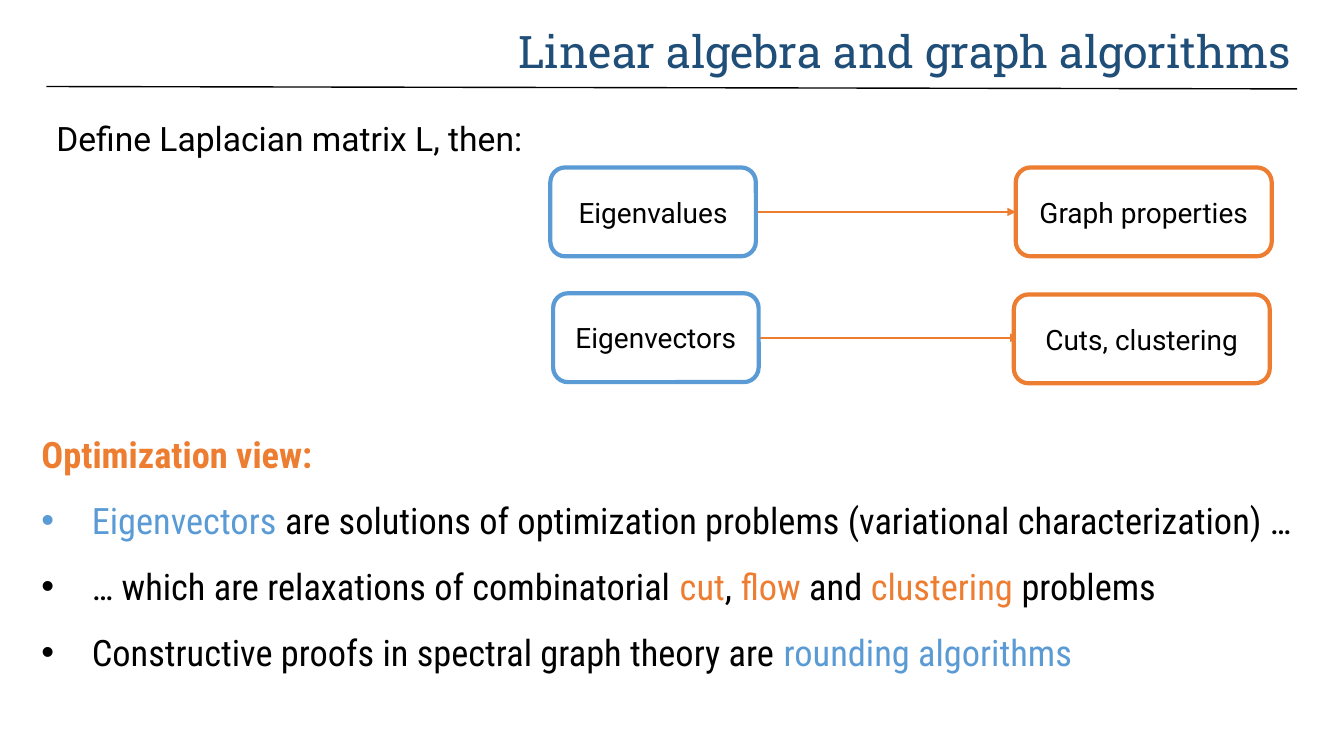
from lxml.etree import SubElement
from pptx import Presentation
from pptx.dml.color import RGBColor
from pptx.enum.shapes import MSO_CONNECTOR, MSO_SHAPE
from pptx.enum.text import MSO_ANCHOR, MSO_AUTO_SIZE, PP_ALIGN
from pptx.oxml.ns import qn
from pptx.util import Cm, Pt

COLORS = {"navy": "1F4E79", "blue": "5B9BD5", "orange": "ED7D31",
          "black": "000000", "white": "FFFFFF"}


def rgb(name):
    return RGBColor.from_string(COLORS[name])


def add_span(para, text, font, size, color, bold=False):
    span = para.add_run()
    span.text = text
    span.font.name = font
    span.font.size = Pt(size)
    span.font.bold = bold
    span.font.color.rgb = rgb(color)


deck = Presentation()
deck.slide_width, deck.slide_height = Cm(33.87), Cm(19.05)
page = deck.slides.add_slide(deck.slide_layouts[1])

# Title and rule
title = page.shapes.title
title.left, title.top, title.width, title.height = Cm(12.22), Cm(0.48), Cm(20.6), Cm(1.63)
title.text_frame.word_wrap = False
title.text_frame.auto_size = MSO_AUTO_SIZE.NONE
title.text_frame.vertical_anchor = MSO_ANCHOR.TOP
para = title.text_frame.paragraphs[0]
para.alignment = PP_ALIGN.RIGHT
add_span(para, "Linear algebra and graph algorithms", "Roboto Slab", 32, "navy")

rule = page.shapes.add_connector(MSO_CONNECTOR.STRAIGHT, Cm(1.17), Cm(2.18), Cm(32.69), Cm(2.24))
rule.line.color.rgb = rgb("black")
rule.line.width = Pt(1)
SubElement(rule._element.spPr, qn("a:effectLst"))

# Optimization list
body = page.placeholders[1]
body.left, body.top, body.width, body.height = Cm(0.79), Cm(10.77), Cm(32.28), Cm(6.4)
frame = body.text_frame
frame.word_wrap = True
frame.auto_size = MSO_AUTO_SIZE.NONE
frame.vertical_anchor = MSO_ANCHOR.TOP
lines = [
    [("Optimization view:", "orange")],
    [("Eigenvectors", "blue"),
     (" are solutions of optimization problems (variational characterization) …", "black")],
    [("… which are relaxations of combinatorial ", "black"), ("cut", "orange"), (", ", "black"),
     ("flow", "orange"), (" and ", "black"), ("clustering", "orange"), (" problems", "black")],
    [("Constructive proofs in spectral graph theory are ", "black"),
     ("rounding algorithms", "blue")],
]
for index, spans in enumerate(lines):
    is_heading = index == 0
    para = frame.paragraphs[0] if is_heading else frame.add_paragraph()
    properties = para._p.get_or_add_pPr()
    indent = 0 if is_heading else Cm(1.27)
    properties.set("marL", str(indent))
    properties.set("indent", str(-indent))
    if is_heading:
        SubElement(properties, qn("a:buNone"))
    else:
        SubElement(properties, qn("a:buFont"), typeface="Arial")
        SubElement(properties, qn("a:buChar"), char="•")
    para.space_before = Pt(0)
    para.space_after = Pt(16)
    for text, color in spans:
        add_span(para, text, "Roboto Condensed", 26, color, bold=is_heading)

# Diagram: each spectral quantity points to what it reveals
BOX_HEIGHT, ARROW_LENGTH = Cm(2.24), Cm(6.55)
rows = [
    [("Eigenvalues", "blue", 13.87, 4.22, 5.18), ("Graph properties", "orange", 25.6, 4.22, 6.45)],
    [("Eigenvectors", "blue", 13.94, 7.39, 5.18), ("Cuts, clustering", "orange", 25.55, 7.42, 6.45)],
]
for row in rows:
    _, _, left, top, width = row[0]
    arrow_left = Cm(left + width)
    arrow_y = Cm(top) + BOX_HEIGHT // 2
    arrow = page.shapes.add_connector(MSO_CONNECTOR.STRAIGHT, arrow_left, arrow_y,
                                      arrow_left + ARROW_LENGTH, arrow_y)
    arrow.line.color.rgb = rgb("orange")
    arrow.line.width = Pt(1.5)
    SubElement(arrow.line._get_or_add_ln(), qn("a:tailEnd"), type="triangle")
    SubElement(arrow._element.spPr, qn("a:effectLst"))
    for text, color, left, top, width in row:
        box = page.shapes.add_shape(MSO_SHAPE.ROUNDED_RECTANGLE, Cm(left), Cm(top),
                                    Cm(width), BOX_HEIGHT)
        box.shadow.inherit = False
        box.fill.solid()
        box.fill.fore_color.rgb = rgb("white")
        box.line.color.rgb = rgb(color)
        box.line.width = Pt(3)
        box.text_frame.vertical_anchor = MSO_ANCHOR.MIDDLE
        para = box.text_frame.paragraphs[0]
        para.alignment = PP_ALIGN.CENTER
        add_span(para, text, "Roboto", 20, "black")

intro = page.shapes.add_textbox(Cm(1.17), Cm(2.84), Cm(12.7), Cm(1.27))
intro.text_frame.word_wrap = True
add_span(intro.text_frame.paragraphs[0], "Define Laplacian matrix L, then:", "Roboto", 24, "black")

deck.save("out.pptx")
